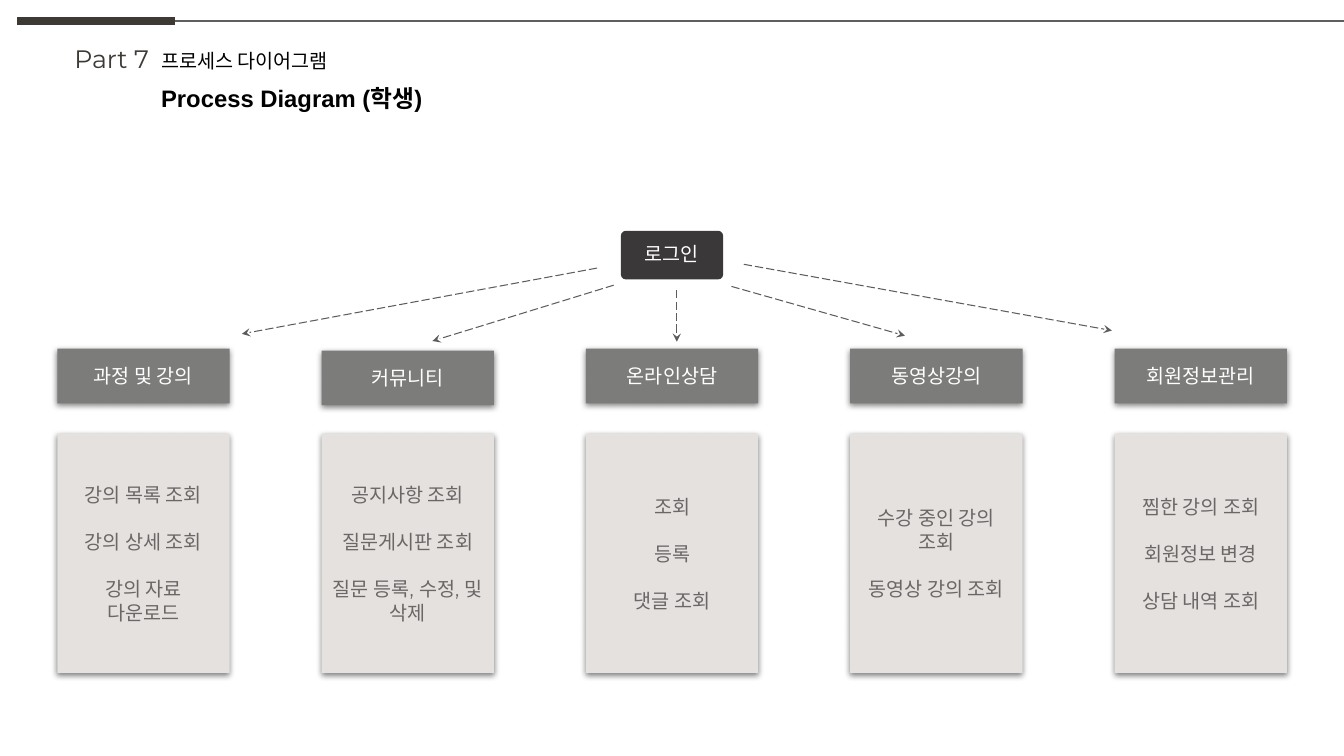
from pptx import Presentation
from pptx.dml.color import RGBColor
from pptx.enum.dml import MSO_LINE
from pptx.enum.shapes import MSO_CONNECTOR, MSO_SHAPE
from pptx.enum.text import MSO_ANCHOR, PP_ALIGN
from pptx.oxml.ns import qn
from pptx.util import Pt
from lxml.etree import SubElement

COLORS = {
    "ink": "3D3A35", "rule": "5F5F5D", "black": "000000", "white": "FFFFFF",
    "login": "3A3838", "menu": "7C7C7A", "panel": "E4E1DF",
    "task": "6C6767", "arrow": "5D5B5B",
}
HEADINGS = [
    ("프로세스 다이어그램", (108, 31.7, 306.7, 24.5), 14, "Arial", "black", False),
    ("Process Diagram (학생)", (108, 56.2, 306.7, 28), 17, "Arial", "black", True),
    ("Part 7", (46.1, 27.4, 79.2, 28.8), 18, "Montserrat", "ink", False),
]
RULES = [((12.2, 15), (125.3, 15), "ink", 6), ((125.3, 15), (960, 15), "rule", 0.75)]
LOGIN = "로그인"
MENUS = [
    ("과정 및 강의", 249.1, ["강의 목록 조회", "강의 상세 조회", "강의 자료 다운로드"]),
    ("커뮤니티", 250.5, ["공지사항 조회", "질문게시판 조회", "질문 등록, 수정, 및 삭제"]),
    ("온라인상담", 249.1, ["조회", "등록", "댓글 조회"]),
    ("동영상강의", 249.1, ["수강 중인 강의 조회", "동영상 강의 조회"]),
    ("회원정보관리", 249.1, ["찜한 강의 조회", "회원정보 변경", "상담 내역 조회"]),
]
ARROWS = [
    ((426.5, 191.5), (172.8, 238.5)),
    ((531.3, 188.8), (794.2, 236.1)),
    ((438.4, 203.7), (308.9, 243.6)),
    ((522.5, 204.6), (646.4, 239.8)),
    ((483.5, 207.3), (483.5, 244.1)),
]
FIRST_LEFT, PITCH, COLUMN_WIDTH = 40.9, 188.8, 123.1
MENU_HEIGHT, PANEL_TOP, PANEL_HEIGHT = 39, 310, 170.7
TASK_GAP = 16.8

deck = Presentation()
deck.slide_width, deck.slide_height = Pt(960), Pt(540)
slide = deck.slides.add_slide(deck.slide_layouts[6])


def color(name):
    return RGBColor.from_string(COLORS[name])


def write(frame, lines, size, font, ink, bold=False, align=PP_ALIGN.LEFT,
          gap=0, spacing=None):
    frame.word_wrap = True
    for index, line in enumerate(lines):
        paragraph = frame.paragraphs[0] if index == 0 else frame.add_paragraph()
        paragraph.alignment = align
        if index and gap:
            paragraph.space_before = Pt(gap)
        if spacing:
            paragraph.line_spacing = spacing
        run = paragraph.add_run()
        run.text = line
        run.font.size, run.font.name, run.font.bold = Pt(size), font, bold
        run.font.color.rgb = color(ink)


def add_box(kind, place, fill, lines, ink, gap=0, spacing=None):
    box = slide.shapes.add_shape(kind, *map(Pt, place))
    box.shadow.inherit = False
    box.fill.solid()
    box.fill.fore_color.rgb = color(fill)
    box.line.fill.background()
    box.text_frame.vertical_anchor = MSO_ANCHOR.MIDDLE
    write(box.text_frame, lines, 14, "Montserrat", ink,
          align=PP_ALIGN.CENTER, gap=gap, spacing=spacing)
    return box


def add_shadow(box):
    effects = box.element.spPr.find(qn("a:effectLst"))
    shadow = SubElement(effects, qn("a:outerShdw"), blurRad=str(Pt(4.5)),
                        dist=str(Pt(1.5)), dir="5400000", algn="t", rotWithShape="0")
    tint = SubElement(shadow, qn("a:srgbClr"), val=COLORS["black"])
    SubElement(tint, qn("a:alpha"), val="50000")


def add_line(start, end, ink, width, arrow=False):
    line = slide.shapes.add_connector(MSO_CONNECTOR.STRAIGHT, *map(Pt, start + end))
    line.line.color.rgb = color(ink)
    line.line.width = Pt(width)
    if arrow:
        line.line.dash_style = MSO_LINE.LONG_DASH
        SubElement(line.element.spPr.find(qn("a:ln")), qn("a:tailEnd"), type="stealth")
    SubElement(line.element.spPr, qn("a:effectLst"))


for start, end, ink, width in RULES:
    add_line(start, end, ink, width)

for words, place, size, font, ink, bold in HEADINGS:
    heading = slide.shapes.add_textbox(*map(Pt, place))
    write(heading.text_frame, [words], size, font, ink, bold)

login = add_box(MSO_SHAPE.ROUNDED_RECTANGLE, (443.5, 164.9, 73, 34.7), "login",
                [LOGIN], "white", spacing=0.9)
login.adjustments[0] = 0.1
login.text_frame.margin_left = login.text_frame.margin_right = Pt(10)

for column, (menu, top, tasks) in enumerate(MENUS):
    left = FIRST_LEFT + column * PITCH
    add_shadow(add_box(MSO_SHAPE.RECTANGLE, (left, top, COLUMN_WIDTH, MENU_HEIGHT),
                       "menu", [menu], "white"))
    add_shadow(add_box(MSO_SHAPE.RECTANGLE, (left, PANEL_TOP, COLUMN_WIDTH, PANEL_HEIGHT),
                       "panel", tasks, "task", gap=TASK_GAP))

for start, end in ARROWS:
    add_line(start, end, "arrow", 0.75, arrow=True)

deck.save("out.pptx")
